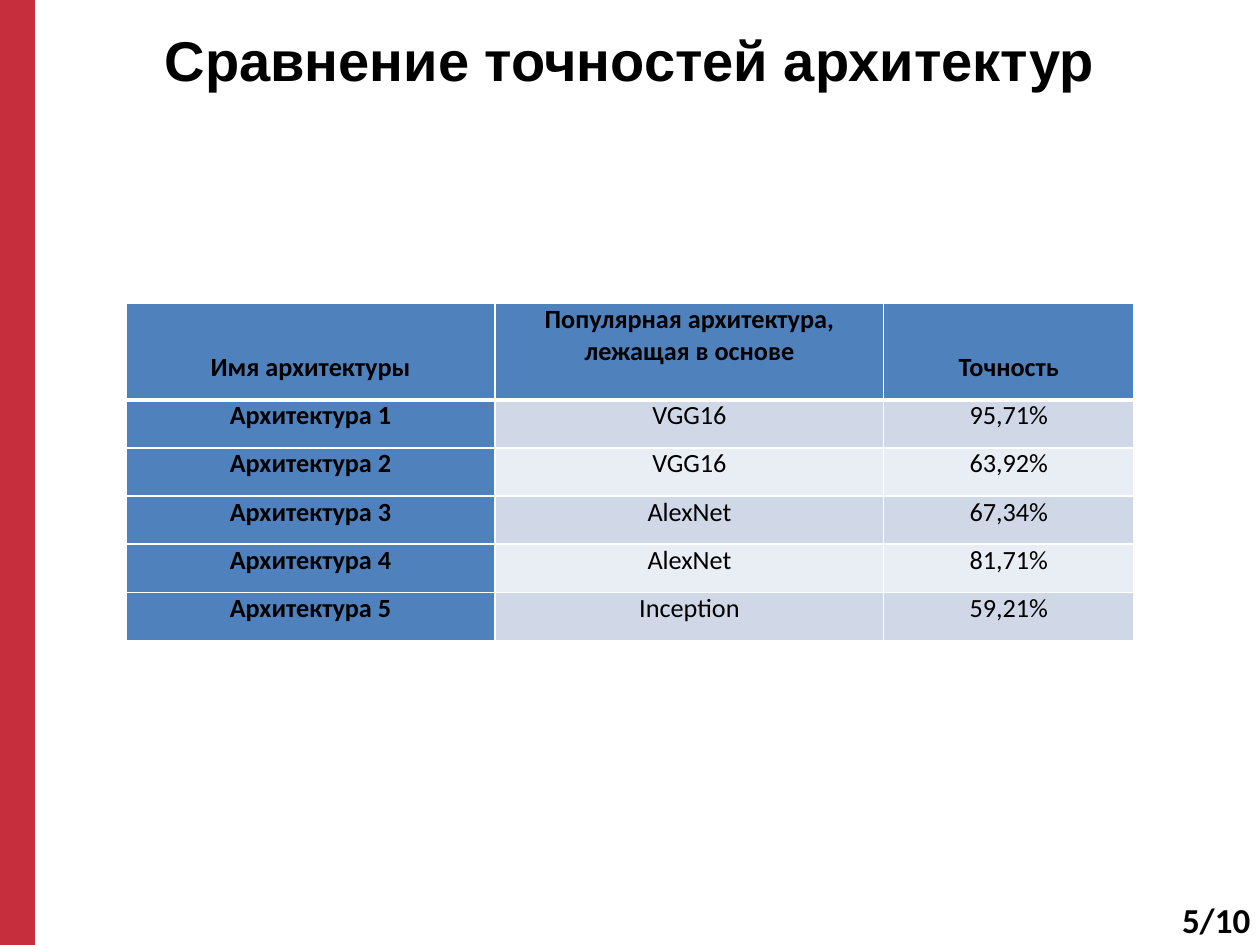
"""Build a slide comparing the accuracy of network architectures in a table."""

from dataclasses import dataclass

from lxml.etree import SubElement
from pptx import Presentation
from pptx.dml.color import RGBColor
from pptx.enum.shapes import MSO_SHAPE
from pptx.enum.text import MSO_ANCHOR, MSO_AUTO_SIZE, PP_ALIGN
from pptx.oxml.ns import qn
from pptx.slide import Slide
from pptx.table import _Cell
from pptx.text.text import TextFrame
from pptx.util import Pt

COLORS = {
    "accent": "C62E3E",
    "header": "4F81BD",
    "odd_row": "D0D8E8",
    "even_row": "E9EDF4",
    "border": "FFFFFF",
    "text": "000000",
}
HEADERS = ("Имя архитектуры", "Популярная архитектура, лежащая в основе", "Точность")
COLUMN_WIDTHS = (211, 222, 143)
ROW_HEIGHT = 27.5


@dataclass(frozen=True)
class Result:
    """Accuracy of one architecture."""

    name: str
    base: str
    accuracy: str


RESULTS = (
    Result("Архитектура 1", "VGG16", "95,71%"),
    Result("Архитектура 2", "VGG16", "63,92%"),
    Result("Архитектура 3", "AlexNet", "67,34%"),
    Result("Архитектура 4", "AlexNet", "81,71%"),
    Result("Архитектура 5", "Inception", "59,21%"),
)


def color(name: str) -> RGBColor:
    """Return a named colour."""
    return RGBColor.from_string(COLORS[name])


def write_text(frame: TextFrame, text: str, size: float, font: str, bold: bool = True) -> None:
    """Write one centred paragraph into a text frame."""
    frame.text = text
    paragraph = frame.paragraphs[0]
    paragraph.alignment = PP_ALIGN.CENTER
    paragraph.font.size = Pt(size)
    paragraph.font.name = font
    paragraph.font.bold = bold
    paragraph.font.color.rgb = color("text")


def set_borders(cell: _Cell, bottom: float, top: float) -> None:
    """Draw solid borders round a cell, with its own top and bottom widths."""
    properties = cell._tc.get_or_add_tcPr()
    widths = {"a:lnL": 1, "a:lnR": 1, "a:lnT": top, "a:lnB": bottom}
    for index, (tag, width) in enumerate(widths.items()):
        line = SubElement(properties, qn(tag), w=str(Pt(width)))
        fill = SubElement(line, qn("a:solidFill"))
        SubElement(fill, qn("a:srgbClr"), val=COLORS["border"])
        properties.insert(index, line)


def add_title(slide: Slide) -> None:
    """Fill and place the title."""
    title = slide.shapes.title
    title.left, title.top, title.width, title.height = Pt(0), Pt(-1.5), Pt(720), Pt(71)
    write_text(title.text_frame, "Сравнение точностей архитектур", 32, "Arial")
    title.text_frame.auto_size = MSO_AUTO_SIZE.NONE
    title.text_frame.vertical_anchor = MSO_ANCHOR.MIDDLE


def add_side_bar(slide: Slide) -> None:
    """Draw the coloured bar on the left edge."""
    bar = slide.shapes.add_shape(MSO_SHAPE.RECTANGLE, Pt(0), Pt(0), Pt(20), Pt(540))
    bar.shadow.inherit = False
    bar.fill.solid()
    bar.fill.fore_color.rgb = color("accent")
    bar.line.fill.background()


def add_page_number(slide: Slide) -> None:
    """Write the page number in the lower right corner."""
    box = slide.shapes.add_textbox(Pt(581), Pt(511), Pt(228), Pt(29))
    box.text_frame.word_wrap = True
    box.text_frame.vertical_anchor = MSO_ANCHOR.MIDDLE
    write_text(box.text_frame, "5/10", 20, "Calibri")


def add_results_table(slide: Slide) -> None:
    """Draw the table of accuracies."""
    rows = [HEADERS, *((result.name, result.base, result.accuracy) for result in RESULTS)]
    table = slide.shapes.add_table(
        len(rows), len(HEADERS), Pt(72), Pt(173.5),
        Pt(sum(COLUMN_WIDTHS)), Pt(ROW_HEIGHT * (len(rows) + 1)),
    ).table
    table.first_col = True
    for column, width in zip(table.columns, COLUMN_WIDTHS):
        column.width = Pt(width)
    for row_index, texts in enumerate(rows):
        is_header = row_index == 0
        table.rows[row_index].height = Pt(ROW_HEIGHT * (2 if is_header else 1))
        for column_index, text in enumerate(texts):
            cell = table.cell(row_index, column_index)
            emphasized = is_header or column_index == 0
            cell.margin_left = cell.margin_right = Pt(5)
            cell.margin_top = cell.margin_bottom = Pt(0)
            write_text(cell.text_frame, text, 15, "Calibri", emphasized)
            if is_header and column_index != 1:
                cell.text_frame.paragraphs[0].line_spacing = 2.5
            band = "odd_row" if row_index % 2 else "even_row"
            cell.fill.solid()
            cell.fill.fore_color.rgb = color("header" if emphasized else band)
            set_borders(cell, bottom=3 if is_header else 1, top=3 if row_index == 1 else 1)


def main() -> None:
    """Build and save the presentation."""
    presentation = Presentation()
    presentation.slide_width, presentation.slide_height = Pt(720), Pt(540)
    slide = presentation.slides.add_slide(presentation.slide_layouts[5])
    add_side_bar(slide)
    add_page_number(slide)
    add_title(slide)
    add_results_table(slide)
    presentation.save("out.pptx")


if __name__ == "__main__":
    main()
